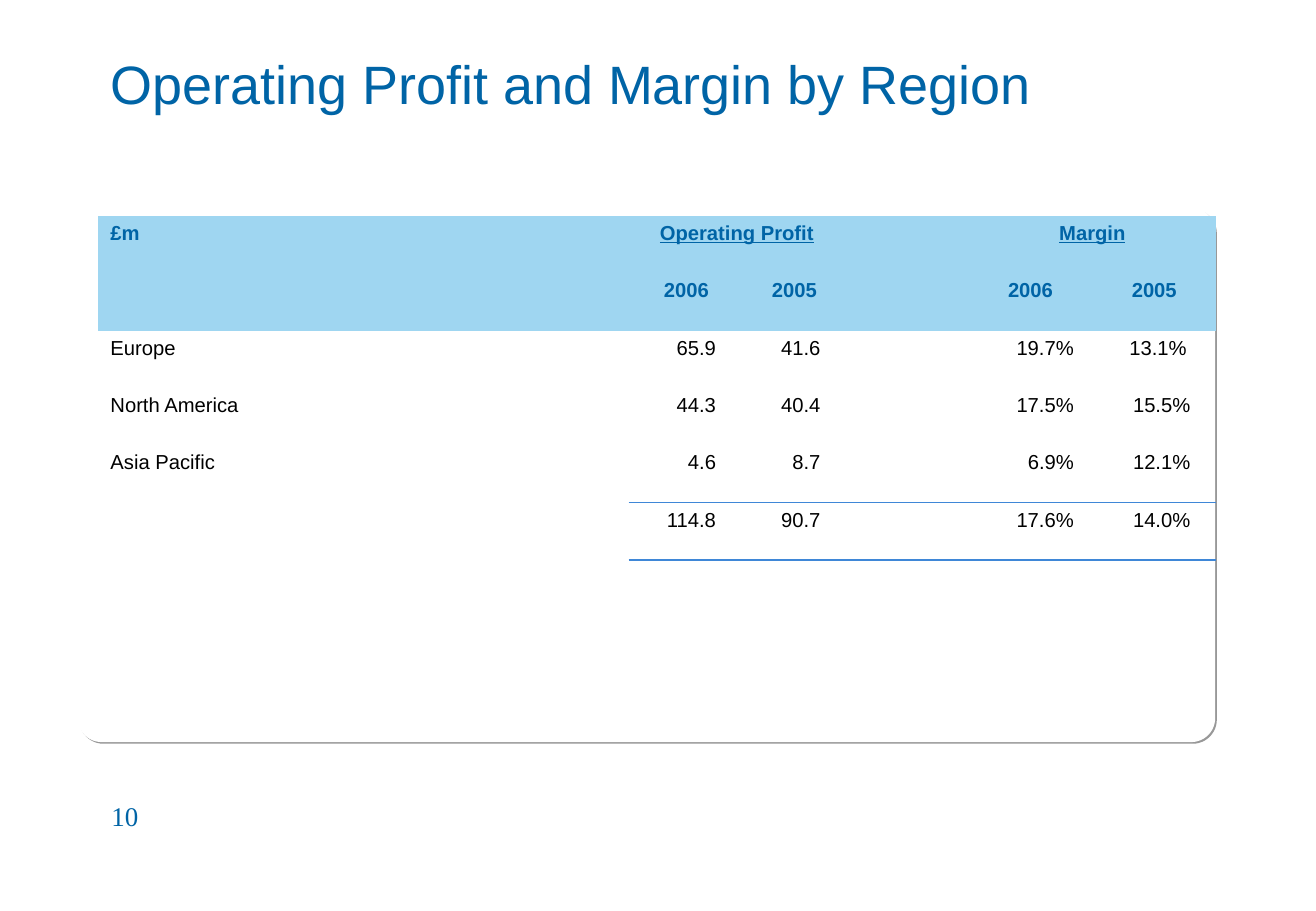
from lxml import etree
from pptx import Presentation
from pptx import util as u
from pptx.dml.color import RGBColor
from pptx.enum import shapes, text
from pptx.oxml import ns

BLUE, PALE, RULE, SHADOW = "0064A6", "9FD6F1", "3F87D7", "989898"
LEFT, WIDTH = u.Inches(0.81), u.Inches(9.21)
ROW_HEIGHT = u.Inches(2.83 / 6)
COLUMN_WIDTHS = [1.02, 1.34, 1, 1.01, 0.95, 0.83, 1.02, 1.02, 1.02]
VALUE_COLUMNS = [4, 5, 7, 8]


def add_element(parent, tag, **attributes):
    return etree.SubElement(parent, ns.qn(tag), {k: str(v) for k, v in attributes.items()})


def write(para, words, color, **formats):
    span = para.add_run()
    span.text = words
    span.font.color.rgb = RGBColor.from_string(color)
    for name, value in formats.items():
        setattr(span.font, name, value)


deck = Presentation()
deck.slide_width, deck.slide_height = u.Inches(10.84), u.Inches(7.5)
page = deck.slides.add_slide(deck.slide_layouts[5])

# White panel with a hard shadow along its lower right edge
panel = page.shapes.add_shape(shapes.MSO_SHAPE.ROUNDED_RECTANGLE, u.Inches(0.64),
                              u.Inches(1.71), u.Inches(9.37), u.Inches(4.4))
panel.adjustments[0] = 0.045
panel.fill.solid()
panel.fill.fore_color.rgb = RGBColor.from_string("FFFFFF")
panel.line.fill.background()
panel.shadow.inherit = False
effects = panel.element.spPr.find(ns.qn("a:effectLst"))
shadow = add_element(effects, "a:outerShdw", blurRad=0, dist=u.Pt(1.4),
                     dir=45 * 60000, algn="ctr", rotWithShape=0)
add_element(shadow, "a:srgbClr", val=SHADOW)

title = page.shapes.title
title.left, title.top, title.width, title.height = LEFT, u.Inches(0.06), WIDTH, u.Inches(1.25)
frame = title.text_frame
frame.auto_size = text.MSO_AUTO_SIZE.NONE
frame.vertical_anchor = text.MSO_ANCHOR.MIDDLE
frame.paragraphs[0].alignment = text.PP_ALIGN.LEFT
write(frame.paragraphs[0], "Operating Profit and Margin by Region", BLUE,
      name="Arial", size=u.Pt(32))

regions = [
    ("Europe", ["65.9", "41.6", "19.7%", "13.1%"]),
    ("North America", ["44.3", "40.4", "17.5%", "15.5%"]),
    ("Asia Pacific", ["4.6", "8.7", "6.9%", "12.1%"]),
    ("", ["114.8", "90.7", "17.6%", "14.0%"]),
]
row_count = len(regions) + 3
graphic = page.shapes.add_table(row_count, len(COLUMN_WIDTHS), LEFT, u.Inches(1.78),
                                WIDTH, ROW_HEIGHT * row_count)
table = graphic.table
table.first_row = table.horz_banding = False
for style in graphic.element.iter(ns.qn("a:tableStyleId")):
    style.text = "{2D5ABB26-0587-4C30-8999-92F81FD0307C}"
for column, width in zip(table.columns, COLUMN_WIDTHS):
    column.width = u.Inches(width)
for row in table.rows:
    row.height = ROW_HEIGHT

# Rules above and below the totals, then header fill
rules = {4: {"a:lnB": 0.45}, 5: {"a:lnT": 0.45, "a:lnB": 1.08}, 6: {"a:lnT": 1.08}}
for r in range(row_count):
    for c in range(len(COLUMN_WIDTHS)):
        cell = table.cell(r, c)
        if c >= VALUE_COLUMNS[0]:
            for side, points in rules.get(r, {}).items():
                line = add_element(cell._tc.get_or_add_tcPr(), side, w=u.Pt(points))
                add_element(add_element(line, "a:solidFill"), "a:srgbClr", val=RULE)
        if r < 2:
            cell.fill.solid()
            cell.fill.fore_color.rgb = RGBColor.from_string(PALE)
        else:
            cell.fill.background()

body = {"name": "Arial", "size": u.Pt(12)}
heading = {**body, "bold": True}
write(table.cell(0, 0).text_frame.paragraphs[0], "£m", BLUE, **heading)
for c, label in [(4, "Operating Profit"), (7, "Margin")]:
    table.cell(0, c).merge(table.cell(0, c + 1))
    para = table.cell(0, c).text_frame.paragraphs[0]
    para.alignment = text.PP_ALIGN.CENTER
    write(para, label, BLUE, underline=True, **heading)
for c, year in zip(VALUE_COLUMNS, ["2006", "2005"] * 2):
    para = table.cell(1, c).text_frame.paragraphs[0]
    para.alignment = text.PP_ALIGN.CENTER
    write(para, year, BLUE, **heading)

for r, (region, values) in enumerate(regions, start=2):
    table.cell(r, 0).merge(table.cell(r, 1))
    if region:
        write(table.cell(r, 0).text_frame.paragraphs[0], region, "000000", **body)
    decimal_stops = [0.48, 0.39, 0.48, 0.39 if r == 2 else 0.42]
    for c, value, stop in zip(VALUE_COLUMNS, values, decimal_stops):
        para = table.cell(r, c).text_frame.paragraphs[0]
        tabs = add_element(para._p.get_or_add_pPr(), "a:tabLst")
        add_element(tabs, "a:tab", pos=u.Inches(stop), algn="dec")
        write(para, "\t" + value, "000000", **body)

number = page.shapes.add_textbox(u.Inches(0.82), u.Inches(6.53), u.Inches(2.26), u.Inches(0.5))
number.text_frame.word_wrap = True
write(number.text_frame.paragraphs[0], "10", BLUE, name="Times New Roman", size=u.Pt(16))

deck.save("out.pptx")
